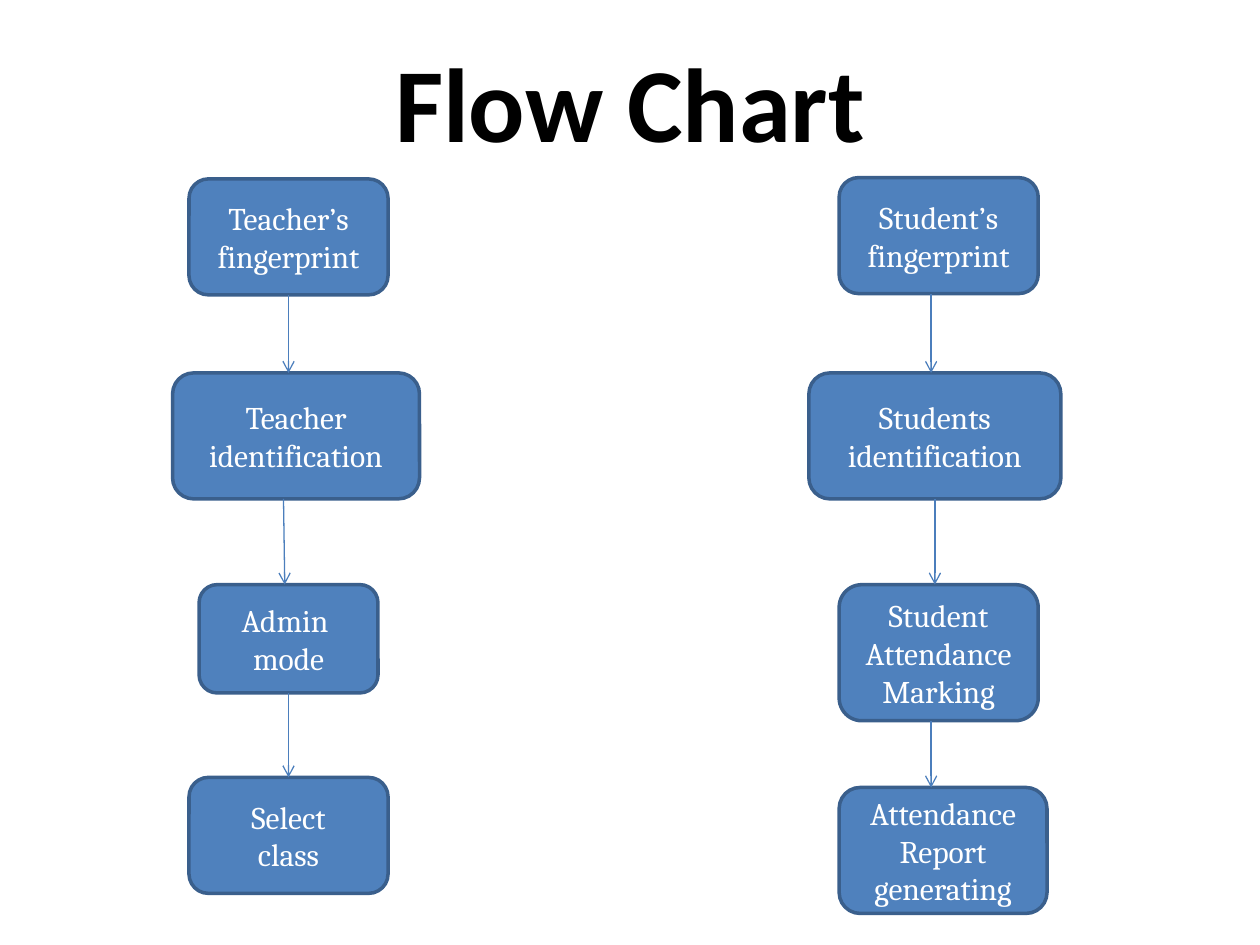
from itertools import pairwise

from lxml.etree import SubElement
from pptx import Presentation
from pptx.dml.color import RGBColor
from pptx.enum.shapes import MSO_CONNECTOR as Connector, MSO_SHAPE as Shape
from pptx.enum.text import MSO_ANCHOR as Anchor, PP_ALIGN as Align
from pptx.oxml.ns import qn
from pptx.util import Inches, Pt

COLORS = {"fill": "4F81BD", "border": "3A5F8C", "arrow": "4B7EBC", "label": "FFFFFF", "title": "000000"}
FORMATS = {
    "label": {"name": "Cambria", "size": Pt(18), "bold": False},
    "title": {"name": "Calibri", "size": Pt(60), "bold": True},
}
WIDTH, HEIGHT = Inches(10), Inches(7.5)
COLUMNS, ROWS = 100, 75

TITLE_BOX = (5, 1.7, 90, 12.5)
TEACHER_BOX = (13.7, 14.2, 19.6, 56.7)
STUDENT_BOX = (64.2, 14.1, 20, 58.4)
TEACHER_STEPS = [
    ("Teacher’s fingerprint", (1.3, 0, 15.8, 9.2)),
    ("Teacher identification", (0, 15.4, 19.6, 10)),
    ("Admin \nmode", (2.1, 32.2, 14.2, 8.6)),
    ("Select\nclass", (1.3, 47.5, 15.8, 9.2)),
]
STUDENT_STEPS = [
    ("Student’s\nfingerprint", (2.4, 0, 15.8, 9.2)),
    ("Students\nidentification", (0, 15.5, 20, 10)),
    ("Student\nAttendance\nMarking", (2.4, 32.3, 15.8, 10.8)),
    ("Attendance\nReport generating", (2.4, 48.4, 16.5, 10)),
]
TEACHER_ARROWS = [(9.2, 9.2), (8.8, 8.9), (9.2, 9.2)]
STUDENT_ARROWS = [(9.7, 9.7), (10, 10), (9.7, 9.7)]


def color(name):
    """Return the named colour."""
    return RGBColor.from_string(COLORS[name])


def grid(*values):
    """Turn alternating columns and rows into slide lengths."""
    cells = (WIDTH / COLUMNS, HEIGHT / ROWS)
    return [round(value * cells[index % 2]) for index, value in enumerate(values)]


def write_text(shape, text, style):
    """Write centred lines of text in the named style."""
    frame = shape.text_frame
    for name, value in {"word_wrap": True, "vertical_anchor": Anchor.MIDDLE, "text": text}.items():
        setattr(frame, name, value)
    for paragraph in frame.paragraphs:
        paragraph.alignment = Align.CENTER
        for run in paragraph.runs:
            for name, value in FORMATS[style].items():
                setattr(run.font, name, value)
            run.font.color.rgb = color(style)


def add_title(slide, box):
    """Place the slide title in the box."""
    write_text(slide.shapes.add_textbox(*grid(*box)), "Flow Chart", "title")


def add_step(slide, text, box):
    """Place one rounded step in the box."""
    shape = slide.shapes.add_shape(Shape.ROUNDED_RECTANGLE, *grid(*box))
    shape.shadow.inherit = False
    shape.fill.solid()
    shape.fill.fore_color.rgb = color("fill")
    shape.line.color.rgb = color("border")
    shape.line.width = Pt(2)
    write_text(shape, text, "label")


def add_arrow(slide, start, end):
    """Draw an open-headed arrow between two grid points."""
    connector = slide.shapes.add_connector(Connector.STRAIGHT, *grid(*start, *end))
    connector.line.color.rgb = color("arrow")
    connector.line.width = Pt(0.75)
    SubElement(connector.line._get_or_add_ln(), qn("a:tailEnd"), type="arrow")
    SubElement(connector._element.spPr, qn("a:effectLst"))


def add_lane(slide, box, steps, arrows):
    """Stack the steps of one lane in the box and join them with arrows."""
    left, top = box[:2]
    for text, (x, y, width, height) in steps:
        add_step(slide, text, (left + x, top + y, width, height))
    for ((_, upper), (_, lower)), (start, end) in zip(pairwise(steps), arrows):
        bottom = top + upper[1] + upper[3]
        add_arrow(slide, (left + start, bottom), (left + end, top + lower[1]))


def main():
    """Build and save the flow chart slide."""
    presentation = Presentation()
    presentation.slide_width, presentation.slide_height = WIDTH, HEIGHT
    slide = presentation.slides.add_slide(presentation.slide_layouts[6])
    add_lane(slide, TEACHER_BOX, TEACHER_STEPS, TEACHER_ARROWS)
    add_lane(slide, STUDENT_BOX, STUDENT_STEPS, STUDENT_ARROWS)
    add_title(slide, TITLE_BOX)
    presentation.save("out.pptx")


if __name__ == "__main__":
    main()
